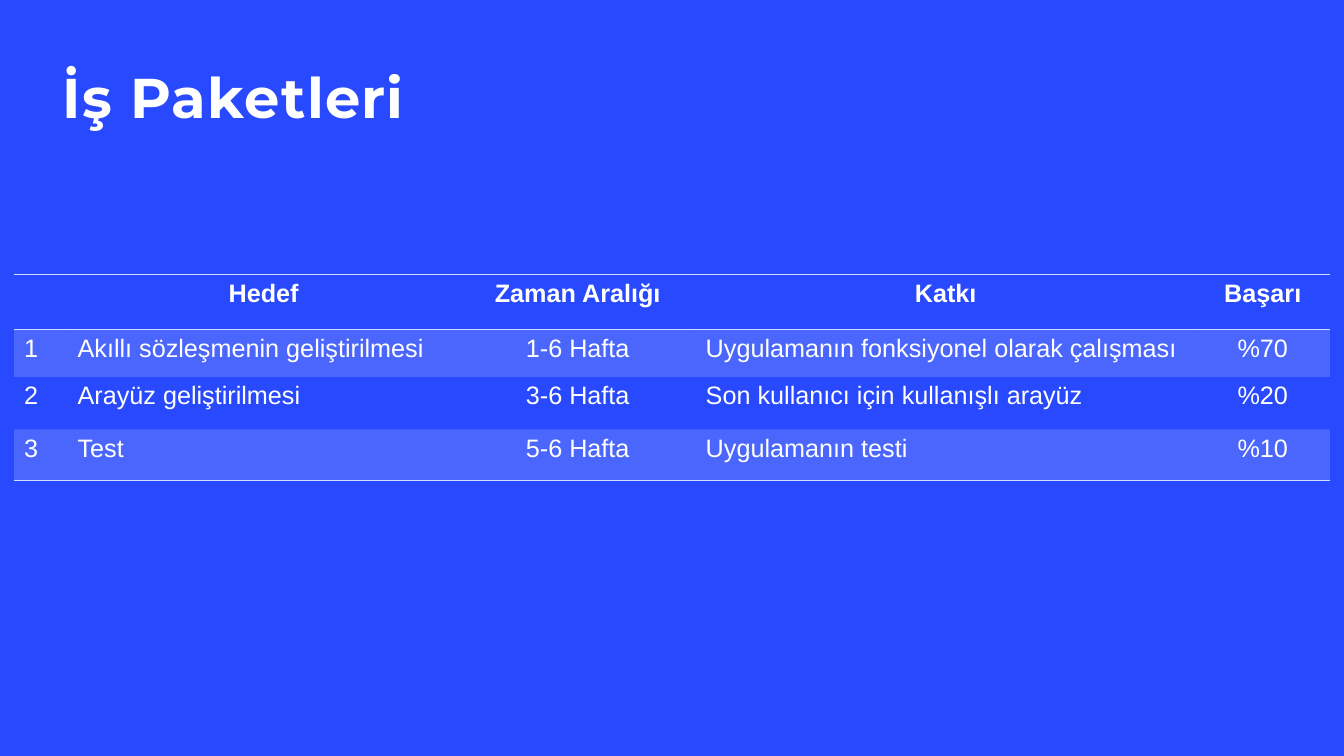
"""Build the work packages slide with its title and table."""
from lxml.etree import SubElement
from pptx import Presentation
from pptx.dml.color import RGBColor
from pptx.enum.text import MSO_ANCHOR, PP_ALIGN
from pptx.oxml import parse_xml
from pptx.oxml.ns import nsdecls, qn
from pptx.util import Pt

TITLE = "İş Paketleri"
ROWS = [
    ("", "Hedef", "Zaman Aralığı", "Katkı", "Başarı"),
    ("1", "Akıllı sözleşmenin geliştirilmesi", "1-6 Hafta",
     "Uygulamanın fonksiyonel olarak çalışması", "%70"),
    ("2", "Arayüz geliştirilmesi", "3-6 Hafta",
     "Son kullanıcı için kullanışlı arayüz", "%20"),
    ("3", "Test", "5-6 Hafta", "Uygulamanın testi", "%10"),
]
COLORS = {"back": "2849FD", "text": "FFFFFF", "band": "D3DDFE"}
WIDTHS = (53, 389, 234, 496, 133)
HEIGHTS = (55, 47, 52, 51)
CENTERED = (2, 4)
RULES = {0: ("lnT", "lnB"), len(ROWS) - 1: ("lnB",)}
PLAIN = "{2D5ABB26-0587-4C30-8999-92F81FD0307C}"
SCALE = 9144


def px(*sizes):
    return [size * SCALE for size in sizes]


def write(para, text, font, size, bold):
    run = para.add_run()
    run.text = text
    run.font.name = font
    run.font.size = Pt(size)
    run.font.bold = bold
    run.font.color.rgb = RGBColor.from_string(COLORS["text"])
    return run


def add_title(slide):
    title = slide.shapes.title
    title.left, title.top, title.width, title.height = px(62, 70, 578, 105)
    frame = title.text_frame
    frame.margin_left = frame.margin_right = 0
    frame.margin_top = frame.margin_bottom = 0
    frame.vertical_anchor = MSO_ANCHOR.TOP
    frame.word_wrap = True
    para = frame.paragraphs[0]
    para.alignment = PP_ALIGN.LEFT
    para.line_spacing = 0.9
    run = write(para, TITLE, "Montserrat", 40, True)
    run.font._element.set("spc", "100")


def shade(cell):
    cell.fill.solid()
    cell.fill.fore_color.rgb = RGBColor.from_string(COLORS["band"])
    color = cell._tc.tcPr.find(".//" + qn("a:srgbClr"))
    SubElement(color, qn("a:alpha"), val="20000")


def rule(cell, sides):
    props = cell._tc.get_or_add_tcPr()
    for spot, side in enumerate(sides):
        props.insert(spot, parse_xml(
            f'<a:{side} {nsdecls("a")} w="{Pt(1)}"><a:solidFill>'
            f'<a:srgbClr val="{COLORS["band"]}"/></a:solidFill></a:{side}>'))


def add_grid(slide):
    frame = slide.shapes.add_table(
        len(ROWS), len(WIDTHS), *px(14, 272, sum(WIDTHS), sum(HEIGHTS)))
    table = frame.table
    table.horz_banding = False
    table._tbl.tblPr.find(qn("a:tableStyleId")).text = PLAIN
    for col, width in zip(table.columns, px(*WIDTHS)):
        col.width = width
    for row, height in zip(table.rows, px(*HEIGHTS)):
        row.height = height
    for r, texts in enumerate(ROWS):
        for c, text in enumerate(texts):
            cell = table.cell(r, c)
            para = cell.text_frame.paragraphs[0]
            center = r == 0 or c in CENTERED
            para.alignment = PP_ALIGN.CENTER if center else PP_ALIGN.LEFT
            if text:
                write(para, text, "Arial", 18, r == 0)
            if r % 2:
                shade(cell)
            else:
                cell.fill.background()
            rule(cell, RULES.get(r, ()))


def main():
    deck = Presentation()
    deck.slide_width, deck.slide_height = px(1333, 750)
    slide = deck.slides.add_slide(deck.slide_layouts[5])
    fill = slide.background.fill
    fill.solid()
    fill.fore_color.rgb = RGBColor.from_string(COLORS["back"])
    add_grid(slide)
    add_title(slide)
    deck.save("out.pptx")


if __name__ == "__main__":
    main()
